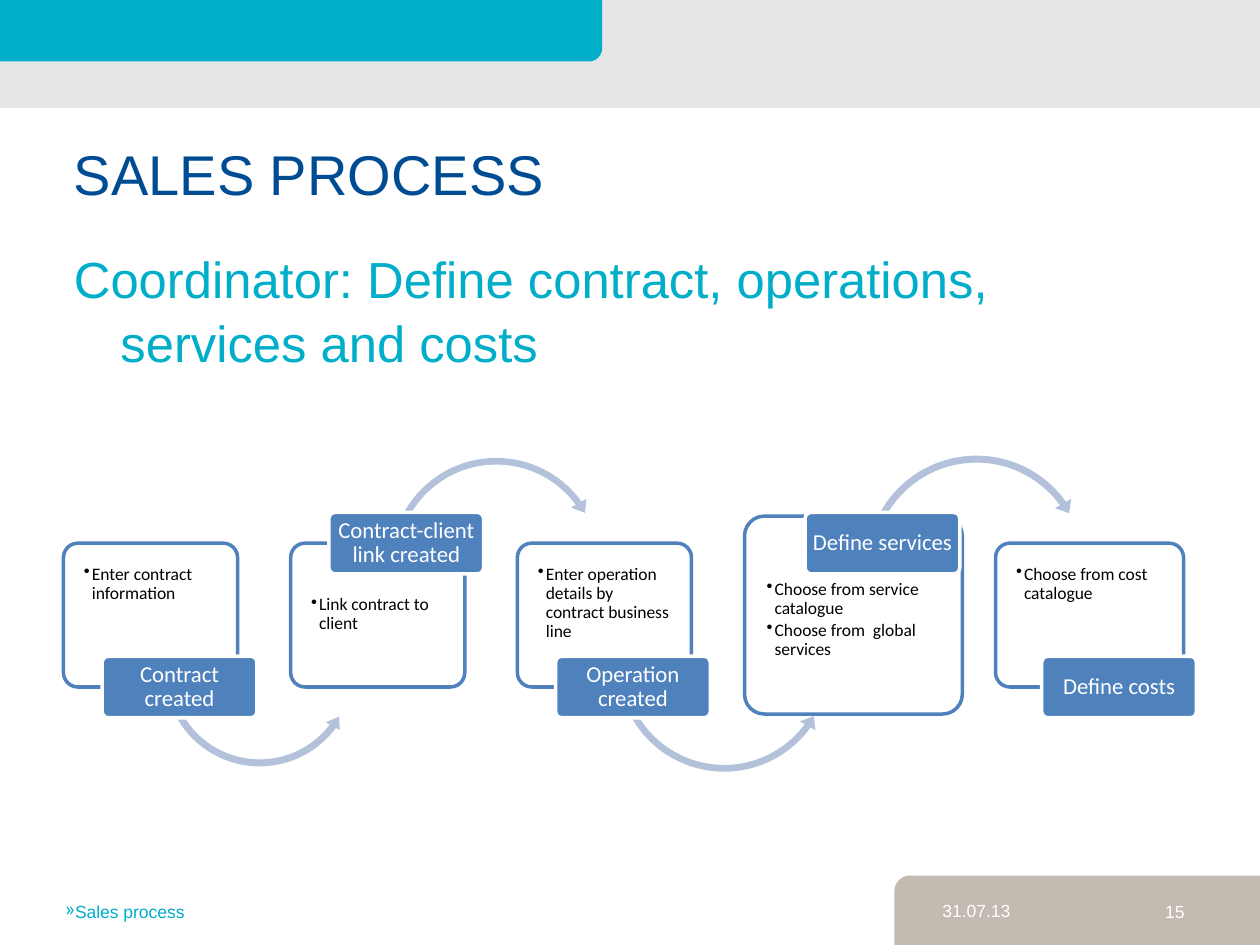
from lxml.etree import SubElement
from pptx import Presentation
from pptx.dml.color import RGBColor
from pptx.enum.shapes import MSO_SHAPE as Shape
from pptx.enum.text import MSO_ANCHOR as Anchor, PP_ALIGN as Align
from pptx.oxml.ns import qn
from pptx.util import Cm, Pt

COLORS = {
    "navy": "004C93", "teal": "00AECA", "gray": "E6E6E6", "beige": "C3BBB2",
    "blue": "4F81BD", "pale": "B3C1DB", "white": "FFFFFF", "black": "000000",
}
TITLE = "SALES PROCESS"
SUBTITLE = "Coordinator: Define contract, operations, services and costs"
BACKDROP = [
    (Shape.ROUNDED_RECTANGLE, (18.03, 17.65, 8.05, 1.88), "beige"),
    (Shape.RECTANGLE, (0, 0, 25.4, 2.18), "gray"),
    (Shape.ROUNDED_RECTANGLE, (-0.79, -0.36, 12.93, 1.6), "teal"),
]
FOOTER = [
    ("Sales process", (1.07, 18.03, 5.97, 1.02), "teal", Align.LEFT, "»"),
    ("31.07.13", (18.75, 18.01, 4.27, 1.02), "white", Align.LEFT, None),
    ("15", (22.63, 18.03, 1.5, 1.02), "white", Align.RIGHT, None),
]
# label, details, card (left, width, height), text inset, label left
STEPS = [
    ("Contract created", ["Enter contract information"], (1.28, 3.51, 2.9), 0.36, 2.06),
    ("Contract-client link created", ["Link contract to client"], (5.86, 3.51, 2.9), 0.97, 6.63),
    ("Operation created", ["Enter operation details by contract business line"],
     (10.43, 3.51, 2.9), 0.36, 11.2),
    ("Define services", ["Choose from service catalogue", "Choose from  global services"],
     (15.01, 4.39, 3.99), 1.18, 16.23),
    ("Define costs", ["Choose from cost catalogue"], (20.07, 3.79, 2.9), 0.36, 21),
]
ARROWS = [
    ((3.23, 11.53, 4.01), (0.035, 4.35, 22.1, 90.25, 0.04)),
    ((7.77, 9.12, 4.47), (0.03, 3.88, 194.37, 125.76, 0.04)),
    ((12.34, 11.15, 4.52), (0.03, 3.82, 21.61, 90.28, 0.04)),
    ((17.35, 9.07, 4.67), (0.03, 3.68, 194.6, 125.79, 0.04)),
]
ARROW_KINDS = [Shape.LEFT_CIRCULAR_ARROW, Shape.CIRCULAR_ARROW]
CARD_MIDDLE = 12.4
LABEL_TOPS = [13.23, 10.33]
LABEL_SIZE = (3.12, 1.24)


def color(name):
    return RGBColor.from_string(COLORS[name])


def add_block(slide, kind, box, fill, line=None, adjustments=()):
    block = slide.shapes.add_shape(kind, *map(Cm, box))
    block.shadow.inherit = False
    block.fill.solid()
    block.fill.fore_color.rgb = color(fill)
    if line:
        block.line.color.rgb = color(line)
        block.line.width = Pt(2)
    else:
        block.line.fill.background()
    for index, value in enumerate(adjustments):
        block.adjustments[index] = value
    return block


def write(frame, text, size, font, tint, align=Align.LEFT, anchor=Anchor.TOP,
          insets=(0.25, 0.13, 0.25, 0.13), spacing=None, after=0):
    frame.text = text
    frame.word_wrap = True
    frame.vertical_anchor = anchor
    frame.margin_left, frame.margin_top, frame.margin_right, frame.margin_bottom = map(Cm, insets)
    for paragraph in frame.paragraphs:
        paragraph.alignment = align
        paragraph.line_spacing = spacing
        paragraph.space_after = Pt(after)
        for run in paragraph.runs:
            run.font.size = Pt(size)
            run.font.name = font
            run.font.color.rgb = color(tint)


def hang(frame, indent, bullet=None):
    for paragraph in frame.paragraphs:
        props = paragraph._p.get_or_add_pPr()
        props.set("marL", str(Cm(indent)))
        props.set("indent", str(-Cm(indent)))
        if bullet:
            SubElement(props, qn("a:buChar")).set("char", bullet)


def add_step(slide, index):
    label, details, (left, width, height), inset, label_left = STEPS[index]
    card = add_block(slide, Shape.ROUNDED_RECTANGLE,
                     (left, CARD_MIDDLE - height / 2, width, height), "white", "blue", [0.1])
    write(card.text_frame, "\n".join(details), 10, "Calibri", "black",
          insets=(0.33, inset, 0.33, 0.3), spacing=0.9, after=1.5)
    hang(card.text_frame, 0.16, "•")
    if index < len(ARROWS):
        (x, y, size), bend = ARROWS[index]
        add_block(slide, ARROW_KINDS[index % 2], (x, y, size, size), "pale", adjustments=bend)
    tag = add_block(slide, Shape.ROUNDED_RECTANGLE,
                    (label_left, LABEL_TOPS[index % 2], *LABEL_SIZE), "blue", "white", [0.1])
    write(tag.text_frame, label, 13, "Calibri", "white", Align.CENTER, Anchor.MIDDLE,
          (0.08, 0.05, 0.08, 0.05), 0.9)


def main():
    """Build the sales process slide."""
    deck = Presentation()
    deck.slide_width, deck.slide_height = Cm(25.4), Cm(19.05)
    slide = deck.slides.add_slide(deck.slide_layouts[5])
    for kind, box, fill in BACKDROP:
        add_block(slide, kind, box, fill)

    title = slide.shapes.title
    title.left, title.top, title.width, title.height = map(Cm, (1.24, 2.69, 22.86, 2.11))
    write(title.text_frame, TITLE, 32, "Arial", "navy")

    for index in range(len(STEPS)):
        add_step(slide, index)

    subtitle = slide.shapes.add_textbox(*map(Cm, (1.24, 4.8, 22.89, 2.54))).text_frame
    write(subtitle, SUBTITLE, 29, "Arial", "teal", spacing=1.05)
    hang(subtitle, 0.94)

    for text, box, tint, align, bullet in FOOTER:
        note = slide.shapes.add_textbox(*map(Cm, box)).text_frame
        write(note, text, 10, "Arial", tint, align)
        if bullet:
            hang(note, 0.18, bullet)
    deck.save("out.pptx")


if __name__ == "__main__":
    main()
